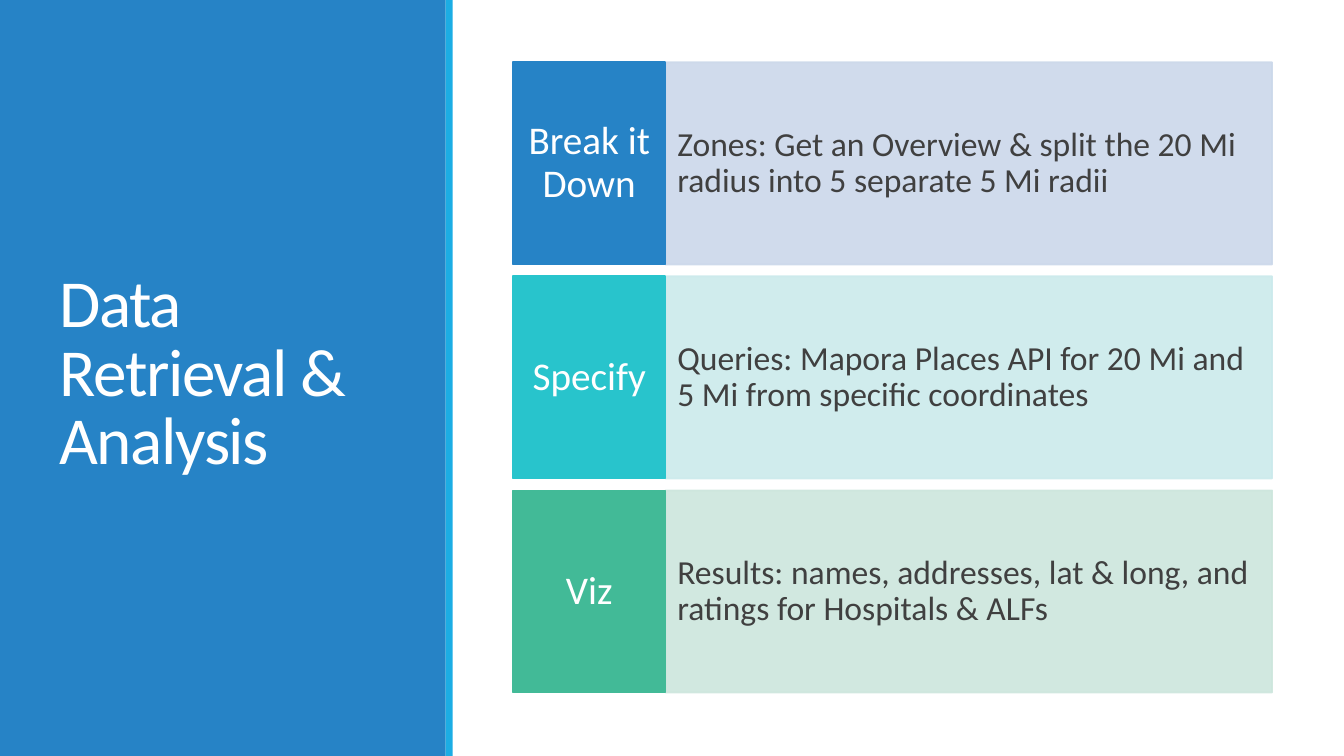
from lxml.etree import SubElement
from pptx import Presentation
from pptx.dml.color import RGBColor
from pptx.enum.shapes import MSO_SHAPE as Shape
from pptx.enum.text import MSO_ANCHOR as Anchor, PP_ALIGN as Align
from pptx.oxml.ns import qn
from pptx.util import Cm, Pt

WHITE = RGBColor(0xFF, 0xFF, 0xFF)
DARK_GRAY = RGBColor(0x40, 0x40, 0x40)
BLUE = RGBColor(0x26, 0x83, 0xC6)
SKY = RGBColor(0x1C, 0xAD, 0xE4)
TEAL = RGBColor(0x28, 0xC4, 0xCC)
GREEN = RGBColor(0x42, 0xBA, 0x97)
PALE_BLUE = RGBColor(0xCB, 0xD8, 0xEA)
PALE_TEAL = RGBColor(0xCB, 0xEA, 0xEC)
PALE_GREEN = RGBColor(0xCD, 0xE6, 0xDD)

STEPS = [
    ("Break it Down", BLUE, PALE_BLUE,
     "Zones: Get an Overview & split the 20 Mi radius into 5 separate 5 Mi radii"),
    ("Specify", TEAL, PALE_TEAL,
     "Queries: Mapora Places API for 20 Mi and 5 Mi from specific coordinates"),
    ("Viz", GREEN, PALE_GREEN,
     "Results: names, addresses, lat & long, and ratings for Hospitals & ALFs"),
]


def add_rectangle(slide, left, top, width, height, color):
    shape = slide.shapes.add_shape(
        Shape.RECTANGLE, Cm(left), Cm(top), Cm(width), Cm(height))
    shape.shadow.inherit = False
    shape.fill.solid()
    shape.fill.fore_color.rgb = color
    shape.line.fill.background()
    return shape


def outline(shape, color):
    shape.line.color.rgb = color
    shape.line.width = Pt(1.25)


def set_opacity(shape, percent):
    for color in shape.element.spPr.iter(qn("a:srgbClr")):
        SubElement(color, qn("a:alpha"), val=str(percent * 1000))


def write(shape, text, size, color, align, margin, line_spacing):
    frame = shape.text_frame
    frame.word_wrap = True
    frame.vertical_anchor = Anchor.MIDDLE
    frame.margin_left = frame.margin_right = Cm(margin)
    frame.margin_top = frame.margin_bottom = Cm(margin)
    frame.text = text
    paragraph = frame.paragraphs[0]
    paragraph.alignment = align
    paragraph.line_spacing = line_spacing
    paragraph.font.name = "Calibri"
    paragraph.font.size = Pt(size)
    paragraph.font.color.rgb = color
    return paragraph


def add_sidebar(slide, left, top, width, height):
    stripe_width = 0.18
    title = slide.shapes.title
    panel = add_rectangle(slide, left, top, width, height, BLUE)
    title.element.addprevious(panel.element)
    add_rectangle(slide, left + width, top, stripe_width, height, SKY)

    title.left, title.top = Cm(left + 1.37), Cm(top + 1.45)
    title.width, title.height = Cm(width - 2.67), Cm(height - 3.02)
    paragraph = write(title, "Data Retrieval & Analysis", 48, WHITE,
                      Align.LEFT, 0.13, 0.85)
    paragraph.runs[0].font._element.set("spc", "-100")


def add_steps(slide, left, top, width, height):
    gap = 0.3
    label_width = 3.84
    row_height = (height - gap * (len(STEPS) - 1)) / len(STEPS)
    for index, (name, color, pale_color, detail) in enumerate(STEPS):
        row_top = top + index * (row_height + gap)
        panel = add_rectangle(slide, left + label_width, row_top,
                              width - label_width, row_height, pale_color)
        outline(panel, pale_color)
        set_opacity(panel, 90)
        write(panel, detail, 24, DARK_GRAY, Align.LEFT, 0.3, 0.9)

        label = add_rectangle(slide, left, row_top, label_width, row_height, color)
        outline(label, color)
        write(label, name, 28, WHITE, Align.CENTER, 0.2, 0.9)


def main():
    presentation = Presentation()
    presentation.slide_width = Cm(33.87)
    presentation.slide_height = Cm(19.05)
    slide = presentation.slides.add_slide(presentation.slide_layouts[5])
    add_sidebar(slide, 0, 0, 11.23, 19.05)
    add_steps(slide, 12.93, 1.57, 19.13, 15.88)
    presentation.save("out.pptx")


if __name__ == "__main__":
    main()
